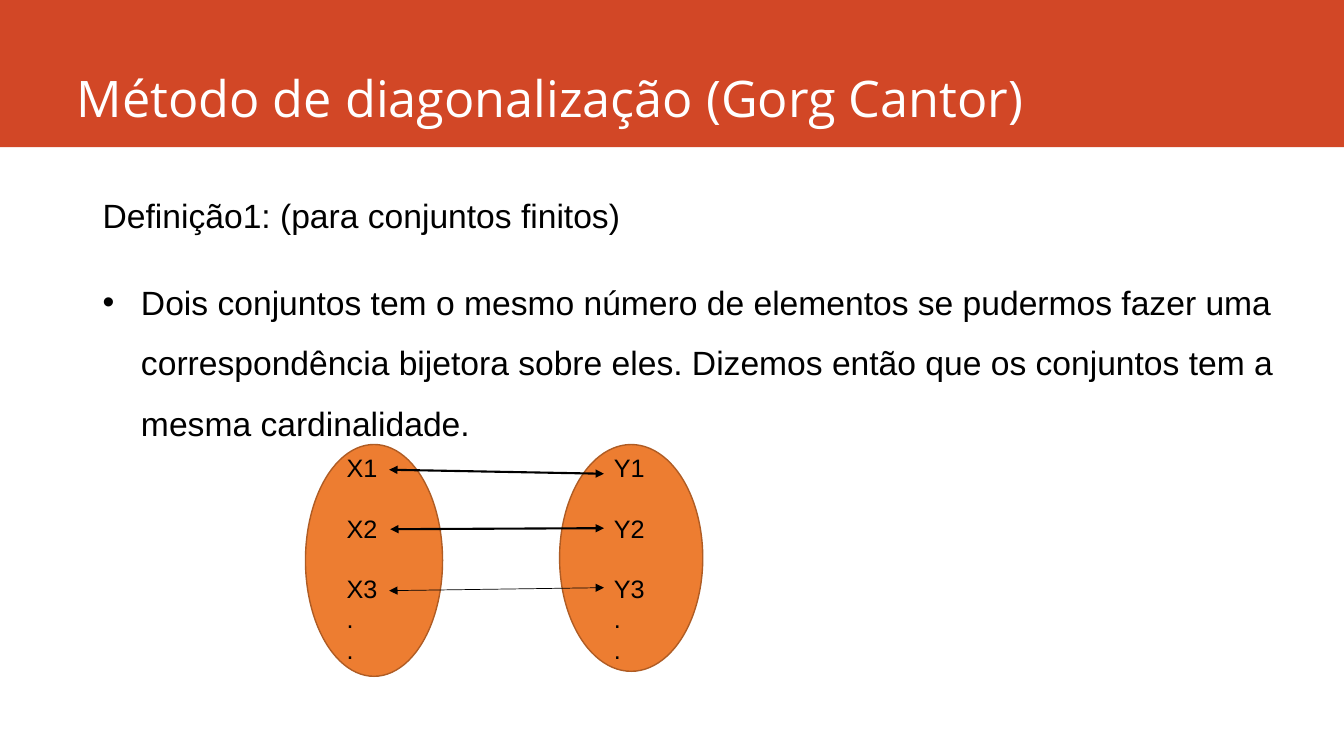
import pptx
import pptx.util
import pptx.dml.color
import pptx.enum.shapes
import pptx.enum.text
import pptx.oxml.xmlchemy
from pptx.util import Inches, Pt

RGBColor = pptx.dml.color.RGBColor
RED = RGBColor(0xD2, 0x47, 0x26)
ORANGE = RGBColor(0xED, 0x7D, 0x31)
BROWN = RGBColor(0xAF, 0x5C, 0x24)
BLACK = RGBColor(0, 0, 0)
WHITE = RGBColor(0xFF, 0xFF, 0xFF)

TITLE = "Método de diagonalização (Gorg Cantor)"
DEFINITION = [
    "Definição1: (para conjuntos finitos)",
    "Dois conjuntos tem o mesmo número de elementos se pudermos fazer uma "
    "correspondência bijetora sobre eles. Dizemos então que os conjuntos tem a "
    "mesma cardinalidade.",
]
SETS = [
    {"name": "X", "ellipse": (3.03, 4.41, 1.36, 2.3), "text": (3.34, 4.44, 0.72, 2.22)},
    {"name": "Y", "ellipse": (5.55, 4.41, 1.42, 2.25), "text": (5.99, 4.44, 0.61, 2.22)},
]
PAIRS = [
    ((3.86, 4.66), (5.99, 4.7), 1.5),
    ((3.87, 5.25), (5.99, 5.24), 1.5),
    ((3.86, 5.86), (5.99, 5.83), 0.5),
]


def inches(values):
    return [Inches(v) for v in values]


def add_element(parent, tag, **attributes):
    element = pptx.oxml.xmlchemy.OxmlElement(tag)
    for name, value in attributes.items():
        element.set(name, value)
    parent.append(element)


def style(p, size, font, color):
    for r in p.runs:
        r.font.size = Pt(size)
        r.font.name = font
        r.font.color.rgb = color


def add_shape(s, kind, box, fill, line=None):
    sp = s.shapes.add_shape(kind, *inches(box))
    sp.shadow.inherit = False
    sp.fill.solid()
    sp.fill.fore_color.rgb = fill
    if line is None:
        sp.line.fill.background()
    else:
        sp.line.color.rgb = line
        sp.line.width = Pt(1)
    return sp


def add_text(s, box, lines, size):
    tf = s.shapes.add_textbox(*inches(box)).text_frame
    tf.word_wrap = True
    tf.text = "\n".join(lines)
    for p in tf.paragraphs:
        style(p, size, "Arial", BLACK)
    return tf


def add_title(s):
    title = s.shapes.title
    band = add_shape(s, pptx.enum.shapes.MSO_SHAPE.RECTANGLE, (0, 0, 13.33, 1.46), RED)
    title._element.addprevious(band._element)
    title.left, title.top, title.width, title.height = inches((0.66, 0, 11.76, 1.32))
    tf = title.text_frame
    tf.text = TITLE
    tf.vertical_anchor = pptx.enum.text.MSO_ANCHOR.BOTTOM
    tf.paragraphs[0].alignment = pptx.enum.text.PP_ALIGN.LEFT
    style(tf.paragraphs[0], 36, "Open Sans", WHITE)


def add_definition(s):
    tf = add_text(s, (0.92, 1.68, 11.89, 5.15), DEFINITION, 24)
    for p in tf.paragraphs:
        p.line_spacing = 1.5
        p.space_before = Pt(7.2)
        p.space_after = Pt(12)
    pPr = tf.paragraphs[1]._p.get_or_add_pPr()
    pPr.set("marL", str(Inches(0.38)))
    pPr.set("indent", str(Inches(-0.38)))
    add_element(pPr, "a:buFont", typeface="Arial")
    add_element(pPr, "a:buChar", char="•")


def add_sets(s):
    for item in SETS:
        add_shape(s, pptx.enum.shapes.MSO_SHAPE.OVAL, item["ellipse"], ORANGE, BROWN)
    for item in SETS:
        members = [f"{item['name']}{i}" for i in range(1, len(PAIRS) + 1)]
        tf = add_text(s, item["text"], members + [".", "."], 18)
        for p in tf.paragraphs[:len(PAIRS) - 1]:
            p.space_after = Pt(21.6)


def add_arrows(s):
    for start, end, width in PAIRS:
        line = s.shapes.add_connector(
            pptx.enum.shapes.MSO_CONNECTOR.STRAIGHT, *inches(start + end))
        line.line.color.rgb = BLACK
        line.line.width = Pt(width)
        spPr = line._element.spPr
        ln = spPr.get_or_add_ln()
        add_element(ln, "a:headEnd", type="triangle")
        add_element(ln, "a:tailEnd", type="triangle")
        add_element(spPr, "a:effectLst")


def main():
    prs = pptx.Presentation()
    prs.slide_width, prs.slide_height = inches((13.33, 7.5))
    s = prs.slides.add_slide(prs.slide_layouts[5])
    add_title(s)
    add_definition(s)
    add_sets(s)
    add_arrows(s)
    prs.save("out.pptx")


if __name__ == "__main__":
    main()
